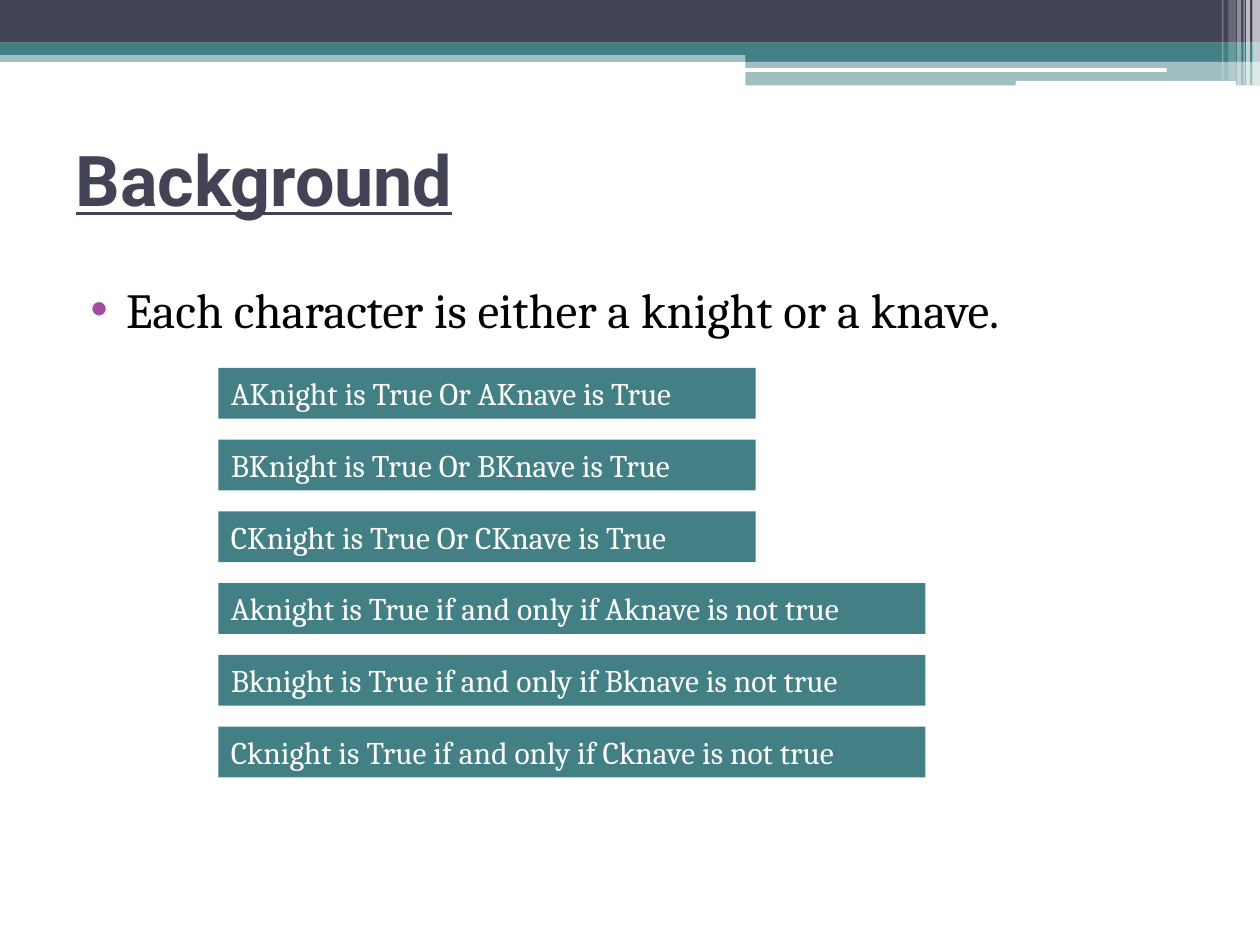
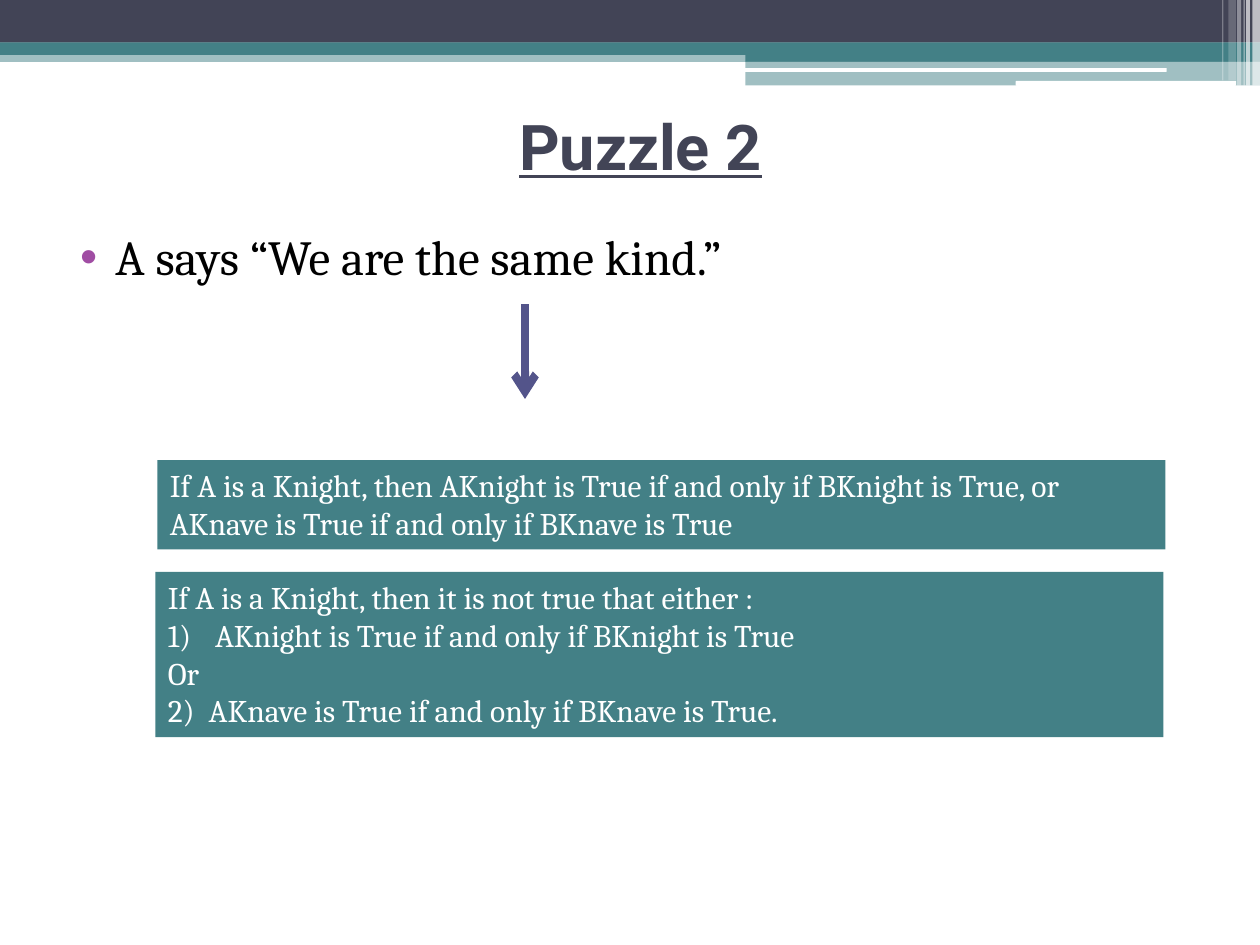
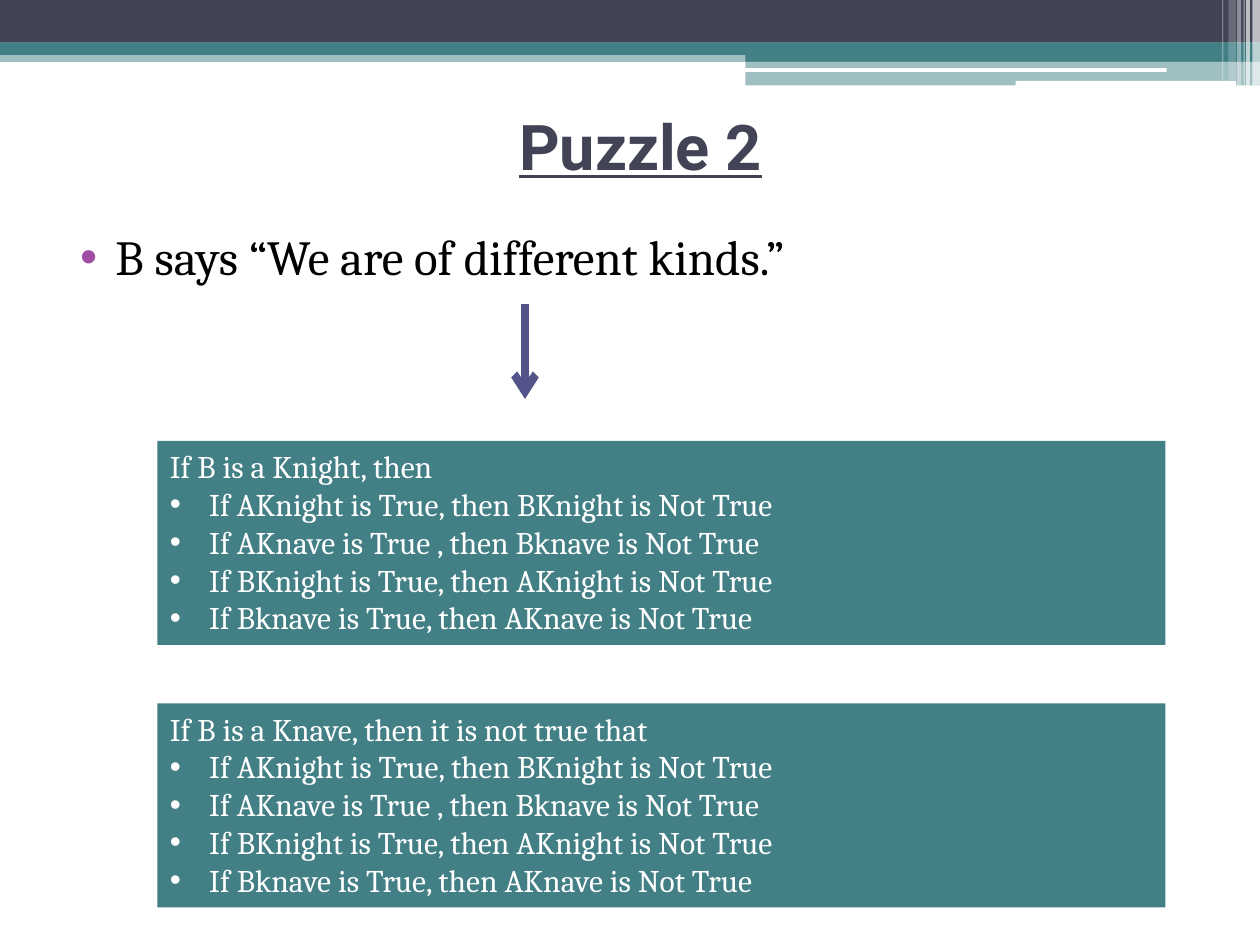
from dataclasses import dataclass

from lxml import etree
from pptx import Presentation
from pptx.dml.color import RGBColor
from pptx.enum import shapes, text
from pptx.oxml import ns
from pptx.util import Pt


@dataclass(frozen=True)
class Theme:
    ink: str = "424456"
    teal: str = "438086"
    white: str = "FFFFFF"
    black: str = "000000"
    bullet: str = "A04DA3"
    arrow: str = "53548A"
    title_font: str = "Roboto"
    body_font: str = "Cambria"
    body_size: int = 28
    box_size: int = 18


T = Theme()
RECT = shapes.MSO_SHAPE.RECTANGLE
ROUND = shapes.MSO_SHAPE.ROUNDED_RECTANGLE
MIDDLE, BOTTOM, TOP = (text.MSO_ANCHOR.MIDDLE, text.MSO_ANCHOR.BOTTOM,
                       text.MSO_ANCHOR.TOP)
LEFT, CENTER = text.PP_ALIGN.LEFT, text.PP_ALIGN.CENTER

# preset, (left, top, width, height), colour, opacity in percent
BANDS = [
    (RECT, (0, 28.8, 720, 6.6), T.teal, 50),
    (RECT, (0, 0, 720, 24.4), T.ink, 100),
    (RECT, (0, 24.2, 720, 7.2), T.teal, 100),
    (RECT, (426, 28, 294, 7.2), T.teal, 100),
    (RECT, (426, 34.8, 294, 14), T.teal, 50),
    (ROUND, (425.5, 38.9, 241.2, 2.2), T.white, 100),
    (ROUND, (580.4, 46.2, 126, 2.8), T.white, 100),
]
# left, width, height, opacity of the white stripes in the corner
STRIPES = [(715.7, 4.3, 49, 65), (712.1, 2.2, 49, 65), (710.6, 0.7, 49, 60),
           (707, 2.2, 49, 40), (702, 4.3, 46, 20), (698.4, 0.7, 46, 30)]
BANDS += [(RECT, (x, 0, w, h), T.white, a) for x, w, h, a in STRIPES]

RULES = [(f"{c}Knight is True Or {c}Knave is True", 307) for c in "ABC"]
RULES += [(f"{c}knight is True if and only if {c}knave is not true", 404)
          for c in "ABC"]
RULE_LEFT, RULE_TOP, RULE_STEP, RULE_HEIGHT = 124.8, 210.2, 41, 29

# A paragraph is (text, bullet, hanging indent); a number is a list number
DIFFERENT = [(line, "•", 22.5) for line in (
    "If AKnight is True, then BKnight is Not True",
    "If AKnave is True , then Bknave is Not True",
    "If BKnight is True, then AKnight is Not True",
    "If Bknave is True, then AKnave is Not True")]

BACKGROUND_TITLE = dict(box=(36, 60, 648, 84), size=40, anchor=MIDDLE, align=LEFT)
PUZZLE_TITLE = dict(box=(42, 24, 648, 84), size=36, anchor=BOTTOM, align=CENTER)
ARROW = (300, 174, 300, 228)

SLIDES = [
    dict(title="Background", style=BACKGROUND_TITLE,
         body="Each character is either a knight or a knave.",
         body_box=(36, 156, 648, 57), arrow=None,
         boxes=[((RULE_LEFT, RULE_TOP + i * RULE_STEP, width, RULE_HEIGHT),
                 [(rule, None, 0)]) for i, (rule, width) in enumerate(RULES)]),
    dict(title="Puzzle 2", style=PUZZLE_TITLE,
         body="A says “We are the same kind.”",
         body_box=(30, 126, 648, 78), arrow=ARROW,
         boxes=[
             ((90, 263, 576, 51), [
                 ("If A is a Knight, then AKnight is True if and only if "
                  "BKnight is True, or AKnave is True if and only if "
                  "BKnave is True", None, 0)]),
             ((88.8, 326.8, 576, 94.5), [
                 ("If A is a Knight, then it is not true that either :", None, 0),
                 ("AKnight is True if and only if BKnight is True", 1, 27),
                 ("Or", None, 0),
                 ("AKnave is True if and only if BKnave is True.", 2, 23.4)]),
         ]),
    dict(title="Puzzle 2", style=PUZZLE_TITLE,
         body="B says “We are of different kinds.”",
         body_box=(30, 126, 648, 42), arrow=ARROW,
         boxes=[
             ((90, 252, 576, 116.5),
              [("If B is a Knight, then", None, 0)] + DIFFERENT),
             ((90, 402, 576, 116.5),
              [("If B is a Knave, then it is not true that", None, 0)] + DIFFERENT),
         ]),
]


def points(values):
    return [Pt(v) for v in values]


def add_child(parent, tag, **attrs):
    return etree.SubElement(parent, ns.qn(tag), attrs)


def place(sp, box):
    for name, value in zip(("left", "top", "width", "height"), points(box)):
        setattr(sp, name, value)


def format_frame(tf, anchor=TOP, auto_size=text.MSO_AUTO_SIZE.NONE):
    frame = dict(word_wrap=True, vertical_anchor=anchor, auto_size=auto_size)
    for name, value in frame.items():
        setattr(tf, name, value)


def write(p, words, color, align=LEFT, **font):
    p.alignment = align
    r = p.add_run()
    r.text = words
    r.font.color.rgb = RGBColor.from_string(color)
    for name, value in font.items():
        setattr(r.font, name, value)


def set_bullet(p, bullet, margin, hang, color):
    pPr = p._p.get_or_add_pPr()
    pPr.set("marL", str(Pt(margin)))
    pPr.set("indent", str(Pt(-hang)))
    add_child(add_child(pPr, "a:buClr"), "a:srgbClr", val=color)
    if isinstance(bullet, int):
        add_child(pPr, "a:buFont", typeface=T.body_font)
        add_child(pPr, "a:buAutoNum", type="arabicParenR", startAt=str(bullet))
    else:
        add_child(pPr, "a:buFont", typeface="Arial")
        add_child(pPr, "a:buChar", char=bullet)


def add_filled(s, preset, box, color):
    sp = s.shapes.add_shape(preset, *points(box))
    sp.shadow.inherit = False
    sp.fill.solid()
    sp.fill.fore_color.rgb = RGBColor.from_string(color)
    sp.line.fill.background()
    return sp


def move_bands_to_layout(s, layout):
    """Draw the bands on a slide, then hand them to the layout all slides share."""
    for number, (preset, box, color, opacity) in enumerate(BANDS, 100):
        sp = add_filled(s, preset, box, color)
        if opacity < 100:
            rgb = next(sp.element.iter(ns.qn("a:srgbClr")))
            add_child(rgb, "a:alpha", val=str(opacity * 1000))
        sp.element.nvSpPr.cNvPr.id = number
        layout.shapes.element.append(sp.element)


def add_title(s, words, style):
    place(s.shapes.title, style["box"])
    tf = s.shapes.title.text_frame
    format_frame(tf, style["anchor"])
    write(tf.paragraphs[0], words, T.ink, style["align"], name=T.title_font,
          size=Pt(style["size"]), bold=True, underline=True)


def add_body(s, words, box):
    sp = s.placeholders[1]
    place(sp, box)
    format_frame(sp.text_frame)
    p = sp.text_frame.paragraphs[0]
    write(p, words, T.black, name=T.body_font, size=Pt(T.body_size))
    p.space_before = Pt(3)
    set_bullet(p, "•", 28.8, 20.2, T.bullet)


def add_box(s, box, paragraphs):
    tf = add_filled(s, RECT, box, T.teal).text_frame
    format_frame(tf, auto_size=text.MSO_AUTO_SIZE.SHAPE_TO_FIT_TEXT)
    for i, (words, bullet, hang) in enumerate(paragraphs):
        p = tf.add_paragraph() if i else tf.paragraphs[0]
        write(p, words, T.white, name=T.body_font, size=Pt(T.box_size))
        if bullet:
            set_bullet(p, bullet, hang, hang, T.white)


def add_arrow(s, ends):
    c = s.shapes.add_connector(shapes.MSO_CONNECTOR.STRAIGHT, *points(ends))
    c.line.color.rgb = RGBColor.from_string(T.arrow)
    c.line.width = Pt(4.5)
    spPr = c.element.spPr
    add_child(spPr.find(ns.qn("a:ln")), "a:tailEnd", type="arrow")
    add_child(spPr, "a:effectLst")


def main():
    prs = Presentation()
    prs.slide_width, prs.slide_height = Pt(720), Pt(540)
    layout = prs.slide_layouts[1]
    for i, content in enumerate(SLIDES):
        s = prs.slides.add_slide(layout)
        if i == 0:
            move_bands_to_layout(s, layout)
        add_title(s, content["title"], content["style"])
        add_body(s, content["body"], content["body_box"])
        for box, paragraphs in content["boxes"]:
            add_box(s, box, paragraphs)
        if content["arrow"]:
            add_arrow(s, content["arrow"])
    prs.save("out.pptx")


if __name__ == "__main__":
    main()
